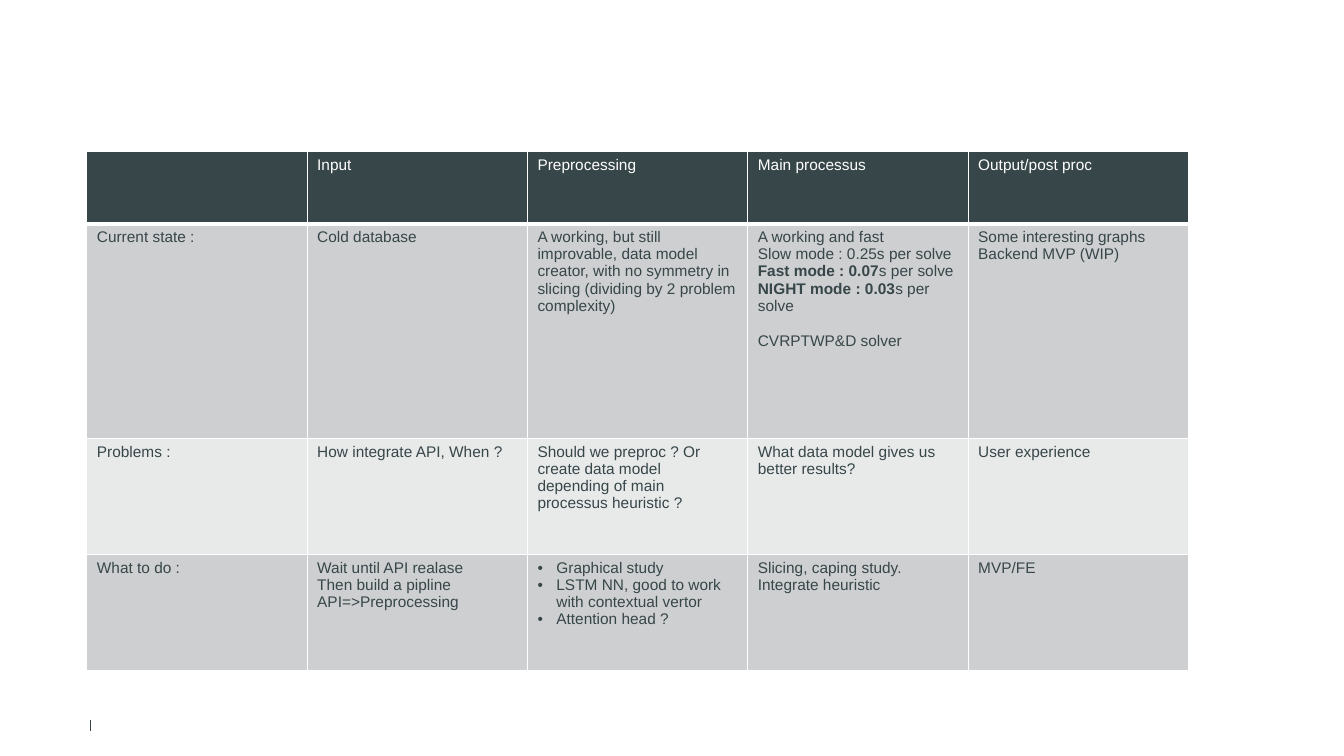
"""Build a slide with a status table for each stage of a solver."""
import dataclasses

import lxml.etree
import pptx
import pptx.dml.color
import pptx.enum.shapes
import pptx.oxml.ns
import pptx.util

Pt = pptx.util.Pt
qn = pptx.oxml.ns.qn


@dataclasses.dataclass(frozen=True)
class Theme:
    """Hold the colours and type of the slide."""
    dark: str = "374649"
    white: str = "FFFFFF"
    bands: tuple = ("CECFD0", "E8E9E9")
    font: str = "Arial"
    size: float = 11
    thin: float = 1
    thick: float = 3
    indent: float = 13.5
    gap: float = 12.65


@dataclasses.dataclass(frozen=True)
class Para:
    """Hold the runs of a paragraph as pairs of text and weight."""
    runs: tuple
    bullet: bool = False
    gap: bool = False


def plain(*lines, bullet=False):
    """Return one plain paragraph for each line."""
    return [Para(((line, False),), bullet) for line in lines]


def mode(name, rest):
    """Return a paragraph with a bold start."""
    return Para(((name, True), (rest, False)))


HEAD = [plain(), plain("Input"), plain("Preprocessing"),
        plain("Main processus"), plain("Output/post proc")]
STATE = [
    plain("Current state :"),
    plain("Cold database"),
    plain("A working, but still improvable, data model creator, with no "
          "symmetry in slicing (dividing by 2 problem complexity)"),
    plain("A working and fast", "Slow mode : 0.25s per solve") + [
        mode("Fast mode : 0.07", "s per solve"),
        mode("NIGHT mode : 0.03", "s per solve"),
        Para((("CVRPTWP&D solver", False),), gap=True)],
    plain("Some interesting graphs", "Backend MVP (WIP)"),
]
ISSUES = [
    plain("Problems :"),
    plain("How integrate API, When ?"),
    plain("Should we preproc ? Or create data model depending of main "
          "processus heuristic ?"),
    plain("What data model gives us better results?"),
    plain("User experience"),
]
TASKS = [
    plain("What to do :"),
    plain("Wait until API realase", "Then build a pipline API=>Preprocessing"),
    plain("Graphical study", "LSTM NN, good to work with contextual vertor",
          "Attention head ?", bullet=True),
    plain("Slicing, caping study.", "Integrate heuristic"),
    plain("MVP/FE"),
]


class Deck:
    """Draw styled elements on the current slide."""

    def __init__(self, theme, width, height):
        """Start a deck with one blank slide."""
        self.theme = theme
        self.file = pptx.Presentation()
        self.file.slide_width = Pt(width)
        self.file.slide_height = Pt(height)
        self.slide = self.file.slides.add_slide(self.file.slide_layouts[6])

    def tint(self, code):
        """Return a colour from its code."""
        return pptx.dml.color.RGBColor.from_string(code)

    def line(self, x, top, end):
        """Draw a thin upright line."""
        line = self.slide.shapes.add_connector(
            pptx.enum.shapes.MSO_CONNECTOR.STRAIGHT,
            Pt(x), Pt(top), Pt(x), Pt(end))
        line.line.color.rgb = self.tint(self.theme.dark)
        line.line.width = Pt(self.theme.thin)
        lxml.etree.SubElement(line._element.spPr, qn("a:effectLst"))

    def border(self, cell, side, width):
        """Draw one white edge of a cell."""
        props = cell._tc.get_or_add_tcPr()
        edge = lxml.etree.SubElement(props, qn("a:ln" + side), w=str(Pt(width)))
        fill = lxml.etree.SubElement(edge, qn("a:solidFill"))
        lxml.etree.SubElement(fill, qn("a:srgbClr"), val=self.theme.white)

    def text(self, frame, paras, color):
        """Put paragraphs into a text frame run by run."""
        for i, para in enumerate(paras):
            block = frame.add_paragraph() if i else frame.paragraphs[0]
            if para.gap:
                block.space_before = Pt(self.theme.gap)
            if para.bullet:
                props = block._p.get_or_add_pPr()
                props.set("marL", str(Pt(self.theme.indent)))
                props.set("indent", str(-Pt(self.theme.indent)))
                lxml.etree.SubElement(props, qn("a:buFont"), typeface=self.theme.font)
                lxml.etree.SubElement(props, qn("a:buChar"), char="•")
            for words, bold in para.runs:
                run = block.add_run()
                run.text = words
                run.font.name = self.theme.font
                run.font.size = Pt(self.theme.size)
                run.font.bold = bold
                run.font.color.rgb = self.tint(color)

    def cell(self, cell, paras, row):
        """Style and fill one cell by its row."""
        theme = self.theme
        for side in "LRTB":
            heavy = (row, side) in ((0, "B"), (1, "T"))
            self.border(cell, side, theme.thick if heavy else theme.thin)
        cell.fill.solid()
        back = theme.bands[(row - 1) % 2] if row else theme.dark
        cell.fill.fore_color.rgb = self.tint(back)
        self.text(cell.text_frame, paras, theme.dark if row else theme.white)

    def table(self, left, top, width, tall, rows):
        """Draw a table with equal columns and given row heights."""
        count = len(rows[0])
        grid = self.slide.shapes.add_table(
            len(rows), count, Pt(left), Pt(top), Pt(width), Pt(sum(tall))).table
        for col in grid.columns:
            col.width = Pt(width / count)
        for i, (row, high) in enumerate(zip(rows, tall)):
            grid.rows[i].height = Pt(high)
            for j, paras in enumerate(row):
                self.cell(grid.cell(i, j), paras, i)

    def save(self):
        """Save the deck."""
        self.file.save("out.pptx")


def main():
    """Build and save the slide."""
    deck = Deck(Theme(), 960, 540)
    deck.line(64.8, 514, 522)
    deck.table(62, 108, 787, (51.8, 153.4, 82.9, 82.9),
               (HEAD, STATE, ISSUES, TASKS))
    deck.save()


if __name__ == "__main__":
    main()
